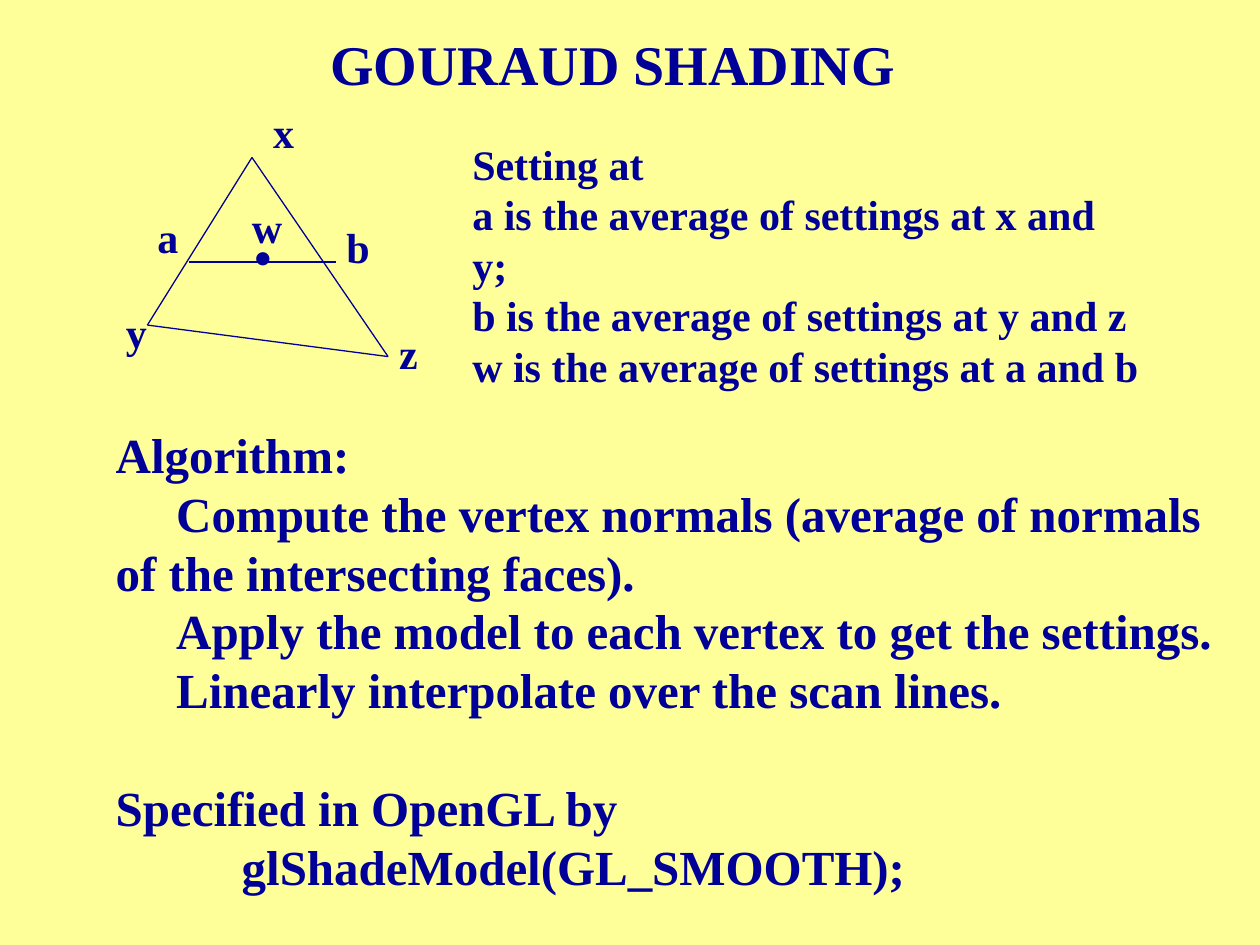
from dataclasses import dataclass

from pptx import Presentation
from pptx.dml.color import RGBColor
from pptx.enum.shapes import MSO_CONNECTOR
from pptx.enum.text import MSO_ANCHOR, PP_ALIGN
from pptx.oxml.xmlchemy import OxmlElement
from pptx.util import Inches, Pt

STRAIGHT = MSO_CONNECTOR.STRAIGHT
MIDDLE = MSO_ANCHOR.MIDDLE
LEFT, CENTER = PP_ALIGN.LEFT, PP_ALIGN.CENTER


@dataclass(frozen=True)
class Theme:
    font: str = "Times New Roman"
    ink: RGBColor = RGBColor(0x00, 0x00, 0x99)
    background: RGBColor = RGBColor(0xFF, 0xFF, 0x99)
    title_size: float = 32
    body_size: float = 28
    note_size: float = 24
    line_width: float = 0.75
    line_height: float = 1.2


THEME = Theme()

# Each line of text: wording, first-line indent in inches, blank lines above
TITLE = [("GOURAUD SHADING ", 0, 0)]
SETTINGS = [
    ("Setting at", 0, 0),
    ("a is the average of settings at x and y;", 0, 0),
    ("b is the average of settings at y and z", 0, 0),
    ("w is the average of settings at a and b", 0, 0),
]
STEP_INDENT, CODE_INDENT = 0.48, 1
ALGORITHM = [
    ("Algorithm:", 0, 0),
    ("Compute the vertex normals (average of normals", STEP_INDENT, 0),
    ("of the intersecting faces).", 0, 0),
    ("Apply the model to each vertex to get the settings.", STEP_INDENT, 0),
    ("Linearly interpolate over the scan lines.", STEP_INDENT, 0),
    ("Specified in OpenGL by", 0, 1),
    ("glShadeModel(GL_SMOOTH);", CODE_INDENT, 0),
]

POINTS = {
    "x": (2, 1.25),
    "y": (1.17, 2.58),
    "z": (3.08, 2.83),
    "a": (1.5, 2.08),
    "b": (2.67, 2.08),
}
EDGES = ["yx", "xz", "yz", "ab"]
LABELS = {
    "w": (1.9, 1.55, 0.44, 0.9),
    "x": (2.07, 0.8, 0.36, 0.5),
    "y": (0.9, 2.38, 0.36, 0.5),
    "z": (3.07, 2.55, 0.35, 0.5),
    "a": (1.15, 1.63, 0.36, 0.5),
    "b": (2.65, 1.71, 0.38, 0.5),
}
DOT_BOX = (1.92, 1.75, 0.35, 0.57)


def add_text(slide, lines, box, size, align=LEFT, wrap=False):
    frame = slide.shapes.add_textbox(*map(Inches, box)).text_frame
    frame.word_wrap = wrap
    for number, (wording, indent, blank_lines) in enumerate(lines):
        paragraph = frame.add_paragraph() if number else frame.paragraphs[0]
        paragraph.text = wording
        paragraph.alignment = align
        if indent:
            paragraph._p.get_or_add_pPr().set("indent", str(Inches(indent)))
        if blank_lines:
            paragraph.space_before = Pt(blank_lines * size * THEME.line_height)
        font = paragraph.font
        font.name, font.size, font.bold = THEME.font, Pt(size), True
        font.color.rgb = THEME.ink
    return frame


def add_edge(slide, start, end):
    ends = map(Inches, POINTS[start] + POINTS[end])
    edge = slide.shapes.add_connector(STRAIGHT, *ends)
    edge.line.color.rgb = THEME.ink
    edge.line.width = Pt(THEME.line_width)
    edge._element.spPr.append(OxmlElement("a:effectLst"))


def main():
    deck = Presentation()
    deck.slide_width, deck.slide_height = Inches(10), Inches(7.5)
    slide = deck.slides.add_slide(deck.slide_layouts[6])
    slide.background.fill.solid()
    slide.background.fill.fore_color.rgb = THEME.background

    title = add_text(slide, TITLE, (0.67, 0.25, 8.5, 0.5),
                     THEME.title_size, CENTER, wrap=True)
    title.vertical_anchor = MIDDLE
    for start, end in EDGES:
        add_edge(slide, start, end)
    add_text(slide, SETTINGS, (3.65, 1.05, 5.5, 1.7), THEME.note_size)
    add_text(slide, ALGORITHM, (0.82, 3.32, 8.91, 3.84), THEME.body_size)
    for label, box in LABELS.items():
        add_text(slide, [(label, 0, 0)], box, THEME.note_size)
    add_text(slide, [("•", 0, 0)], DOT_BOX, THEME.body_size, wrap=True)

    deck.save("out.pptx")


if __name__ == "__main__":
    main()
